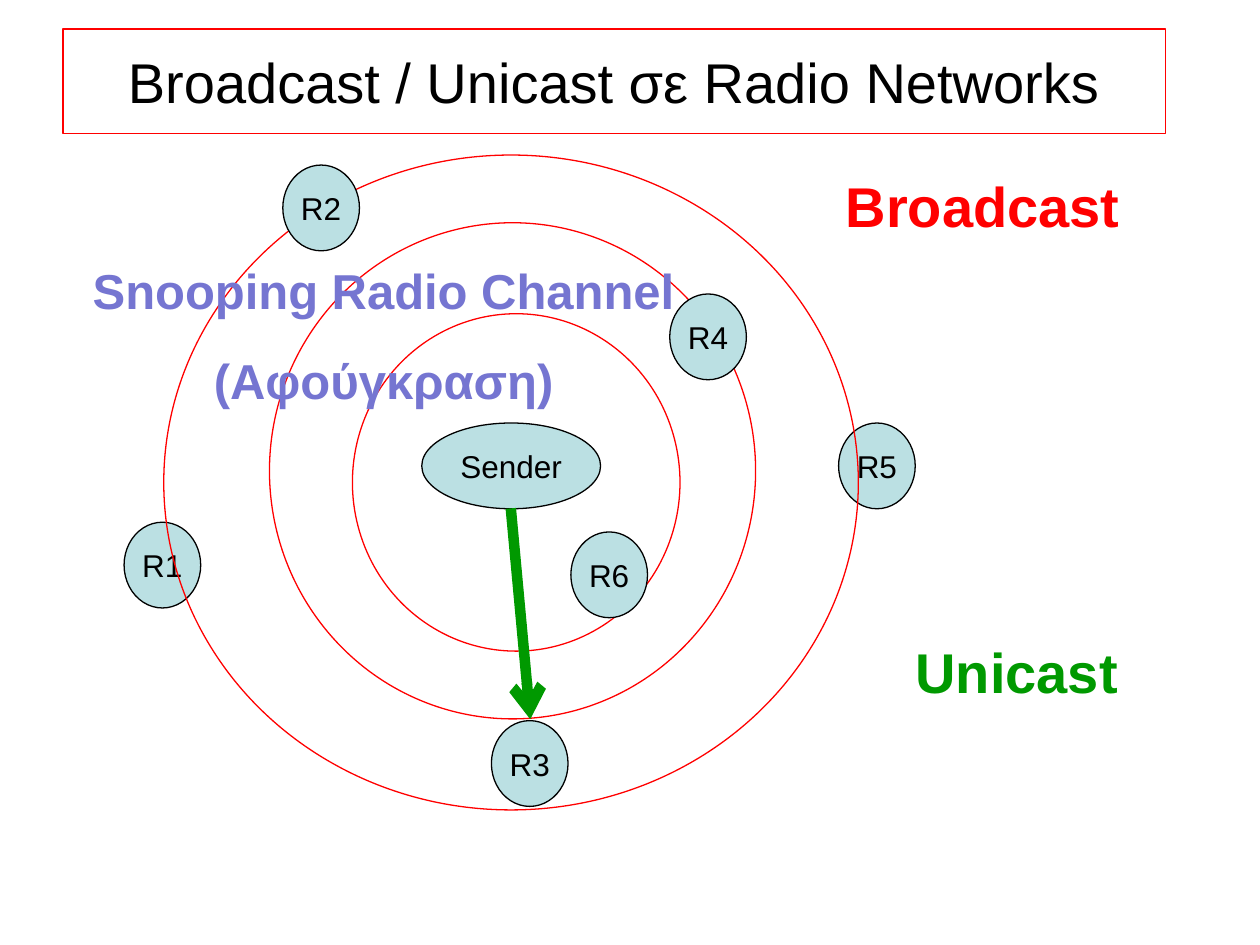
from lxml import etree
from pptx import Presentation
from pptx.dml.color import RGBColor
from pptx.enum.shapes import MSO_CONNECTOR, MSO_SHAPE
from pptx.enum.text import MSO_ANCHOR, PP_ALIGN
from pptx.oxml.ns import qn
from pptx.util import Pt

OVAL, RECTANGLE = MSO_SHAPE.OVAL, MSO_SHAPE.RECTANGLE
STRAIGHT = MSO_CONNECTOR.STRAIGHT
MIDDLE, TOP = MSO_ANCHOR.MIDDLE, MSO_ANCHOR.TOP
CENTER = PP_ALIGN.CENTER

COLORS = {
    "black": "000000",
    "red": "FF0000",
    "green": "009900",
    "node": "BBE0E3",
    "violet": "7575D1",
}

deck = Presentation()
deck.slide_width, deck.slide_height = Pt(720), Pt(540)
page = deck.slides.add_slide(deck.slide_layouts[6])


def color(name):
    return RGBColor.from_string(COLORS[name])


def write(box, text, size=18, ink="black", bold=False, anchor=MIDDLE, wrap=True, gap=0):
    frame = box.text_frame
    frame.word_wrap = wrap
    frame.vertical_anchor = anchor
    for index, line in enumerate(text.split("\n")):
        para = frame.add_paragraph() if index else frame.paragraphs[0]
        para.alignment = CENTER
        if index:
            para.space_before = Pt(gap)
        span = para.add_run()
        span.text = line
        span.font.name = "Arial"
        span.font.size = Pt(size)
        span.font.bold = bold
        span.font.color.rgb = color(ink)


NODE_WIDTH, NODE_HEIGHT = 43.8, 49
outlines = [
    (RECTANGLE, 36, 16.5, 630, 60, "Broadcast / Unicast σε Radio Networks"),
    (OVAL, 241, 241.7, 102.2, NODE_HEIGHT, "Sender"),
    (OVAL, 280.8, 411.8, NODE_WIDTH, NODE_HEIGHT, "R3"),
    (OVAL, 70.9, 298.4, NODE_WIDTH, NODE_HEIGHT, "R1"),
    (OVAL, 479.2, 241.7, NODE_WIDTH, NODE_HEIGHT, "R5"),
    (OVAL, 201.4, 179.3, 187.2, 192.8, ""),
    (OVAL, 93.6, 88.6, 396.9, 374.2, ""),
    (OVAL, 154, 127.3, 277.8, 283.5, ""),
    (OVAL, 382.7, 168, NODE_WIDTH, NODE_HEIGHT, "R4"),
    (OVAL, 161.6, 94.3, NODE_WIDTH, NODE_HEIGHT, "R2"),
    (OVAL, 326.2, 304, NODE_WIDTH, NODE_HEIGHT, "R6"),
]
for kind, left, top, width, height, text in outlines:
    shape = page.shapes.add_shape(kind, Pt(left), Pt(top), Pt(width), Pt(height))
    shape.shadow.inherit = False
    is_node = kind == OVAL and text
    if is_node:
        shape.fill.solid()
        shape.fill.fore_color.rgb = color("node")
    else:
        shape.fill.background()
    shape.line.color.rgb = color("black" if is_node else "red")
    shape.line.width = Pt(0.75)
    if is_node:
        write(shape, text, wrap=False)
    elif text:
        write(shape, text, size=32)

arrow = page.shapes.add_connector(STRAIGHT, Pt(291.9), Pt(290.5), Pt(303), Pt(411))
arrow.line.color.rgb = color("green")
arrow.line.width = Pt(6)
etree.SubElement(arrow.line._get_or_add_ln(), qn("a:tailEnd"), type="arrow")
etree.SubElement(arrow._element.spPr, qn("a:effectLst"))

labels = [
    (468, 94.3, 187.2, 46, "Broadcast", 32, "red"),
    (496, 360.9, 170, 46, "Unicast", 32, "green"),
    (25.2, 145.4, 388, 92, "Snooping Radio Channel\n(Αφούγκραση)", 28, "violet"),
]
for left, top, width, height, text, size, ink in labels:
    label = page.shapes.add_textbox(Pt(left), Pt(top), Pt(width), Pt(height))
    write(label, text, size=size, ink=ink, bold=True, anchor=TOP, gap=17.5)

deck.save("out.pptx")
